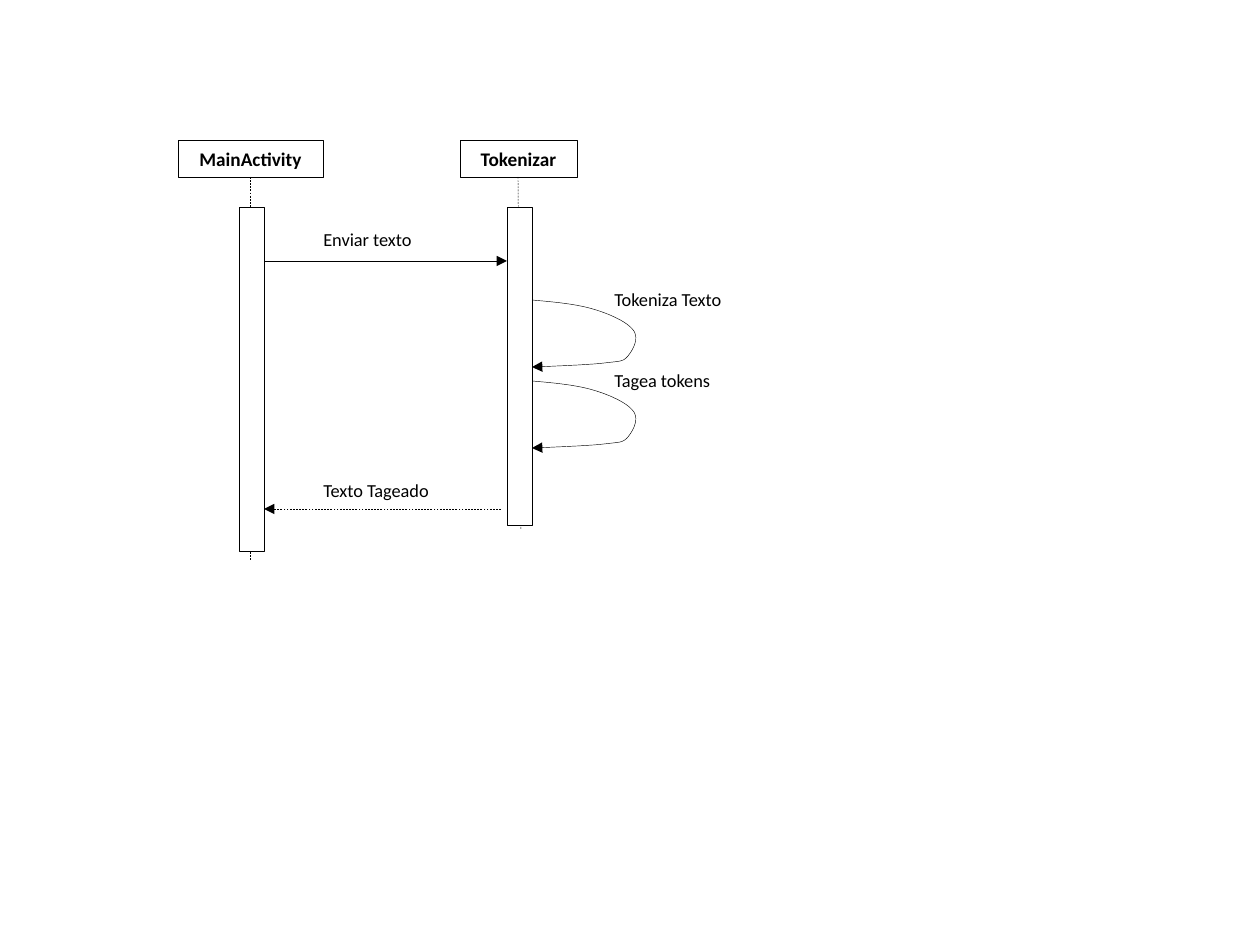
from lxml import etree
from pptx import Presentation
from pptx import util as u
from pptx.dml.color import RGBColor
from pptx.enum import dml, shapes, text
from pptx.oxml.ns import qn

PX = 914400 / 126
BLACK = RGBColor(0, 0, 0)
WHITE = RGBColor(255, 255, 255)
LOOP_CURVES = [
    [(0, 0), (23, 2), (44, 4), (61, 9)],
    [(61, 9), (78, 14), (96, 22), (102, 31)],
    [(102, 31), (107, 39), (101, 50), (96, 56)],
    [(96, 56), (91, 62), (88, 61), (72, 63)],
    [(72, 63), (57, 65), (0, 67), (0, 67)],
]
CURVE_STEPS = 12


def px(*lengths):
    return [round(length * PX) for length in lengths]


def style_line(line, dashed=False, arrow=False):
    line.color.rgb = BLACK
    line.width = u.Pt(0.25)
    if dashed:
        line.dash_style = dml.MSO_LINE.DASH
    if arrow:
        etree.SubElement(line._get_or_add_ln(), qn("a:tailEnd"), type="triangle")


def write(frame, wording, size, bold=False, align=text.PP_ALIGN.LEFT):
    paragraph = frame.paragraphs[0]
    paragraph.text = wording
    paragraph.alignment = align
    font = paragraph.font
    font.name, font.size, font.bold = "Calibri", u.Pt(size), bold
    font.color.rgb = BLACK


def add_box(slide, left, top, width, height):
    box = slide.shapes.add_shape(
        shapes.MSO_SHAPE.RECTANGLE, *px(left, top, width, height))
    box.shadow.inherit = False
    box.fill.solid()
    box.fill.fore_color.rgb = WHITE
    style_line(box.line)
    return box


def add_header(slide, wording, left, width):
    header = add_box(slide, left, 140, width, 37)
    write(header.text_frame, wording, 11, True, text.PP_ALIGN.CENTER)


def add_line(slide, start, end, dashed=False, arrow=False):
    line = slide.shapes.add_connector(
        shapes.MSO_CONNECTOR.STRAIGHT, *px(*start, *end))
    etree.SubElement(line._element.spPr, qn("a:effectLst"))
    style_line(line.line, dashed, arrow)


def add_label(slide, wording, left, top, width):
    label = slide.shapes.add_textbox(*px(left, top, width, 36))
    label.text_frame.word_wrap = False
    write(label.text_frame, wording, 10.5)


def bezier_point(curve, t):
    weights = ((1 - t) ** 3, 3 * t * (1 - t) ** 2, 3 * t * t * (1 - t), t ** 3)
    return [sum(w * point[axis] for w, point in zip(weights, curve))
            for axis in (0, 1)]


def add_self_call(slide, wording, left, top, label_width):
    outline = slide.shapes.build_freeform(*px(left, top))
    points = [bezier_point(curve, step / CURVE_STEPS)
              for curve in LOOP_CURVES for step in range(1, CURVE_STEPS + 1)]
    outline.add_line_segments(
        [px(left + x, top + y) for x, y in points], close=False)
    loop = outline.convert_to_shape()
    loop.shadow.inherit = False
    loop.fill.background()
    style_line(loop.line, arrow=True)
    add_label(slide, wording, left + 70, top - 18, label_width)


def add_lifeline(slide, start, end, bar_left, bar_height):
    add_line(slide, start, end, dashed=True)
    add_box(slide, bar_left, 207, 25, bar_height)


def main():
    deck = Presentation()
    deck.slide_width, deck.slide_height = u.Inches(10), u.Inches(7.5)
    slide = deck.slides.add_slide(deck.slide_layouts[6])

    add_header(slide, "MainActivity", 178, 145)
    add_header(slide, "Tokenizar", 460, 117)

    add_line(slide, (264, 261), (507, 261), arrow=True)
    add_label(slide, "Enviar texto", 311, 222, 120)
    add_line(slide, (501, 509), (264, 509), dashed=True, arrow=True)
    add_label(slide, "Texto Tageado", 311, 473, 136)

    add_self_call(slide, "Tokeniza Texto", 532, 300, 144)
    add_self_call(slide, "Tagea tokens", 532, 381, 125)

    add_lifeline(slide, (250, 177), (250, 561), 239, 344)
    add_lifeline(slide, (518, 177), (521, 530), 507, 318)

    deck.save("out.pptx")


if __name__ == "__main__":
    main()
